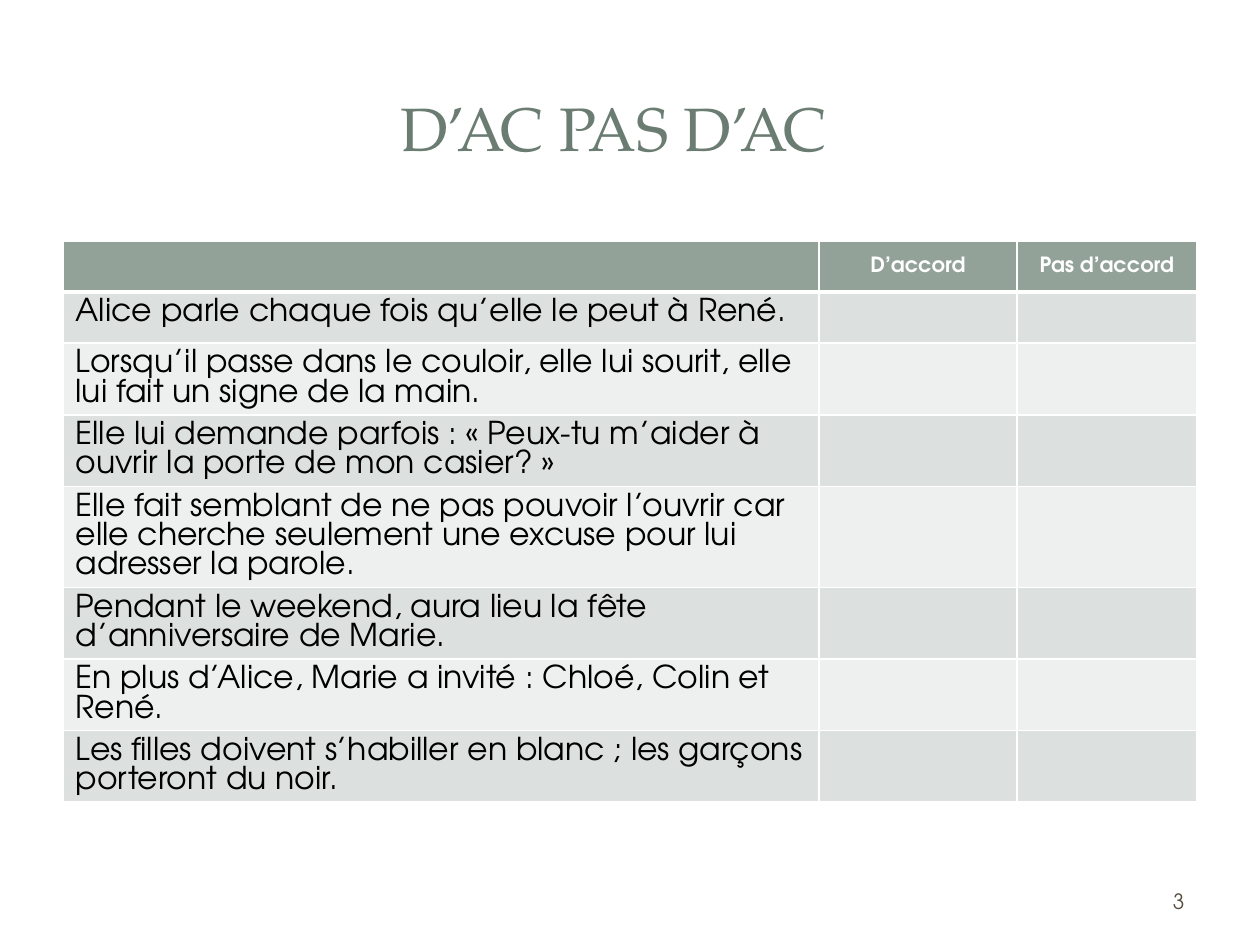
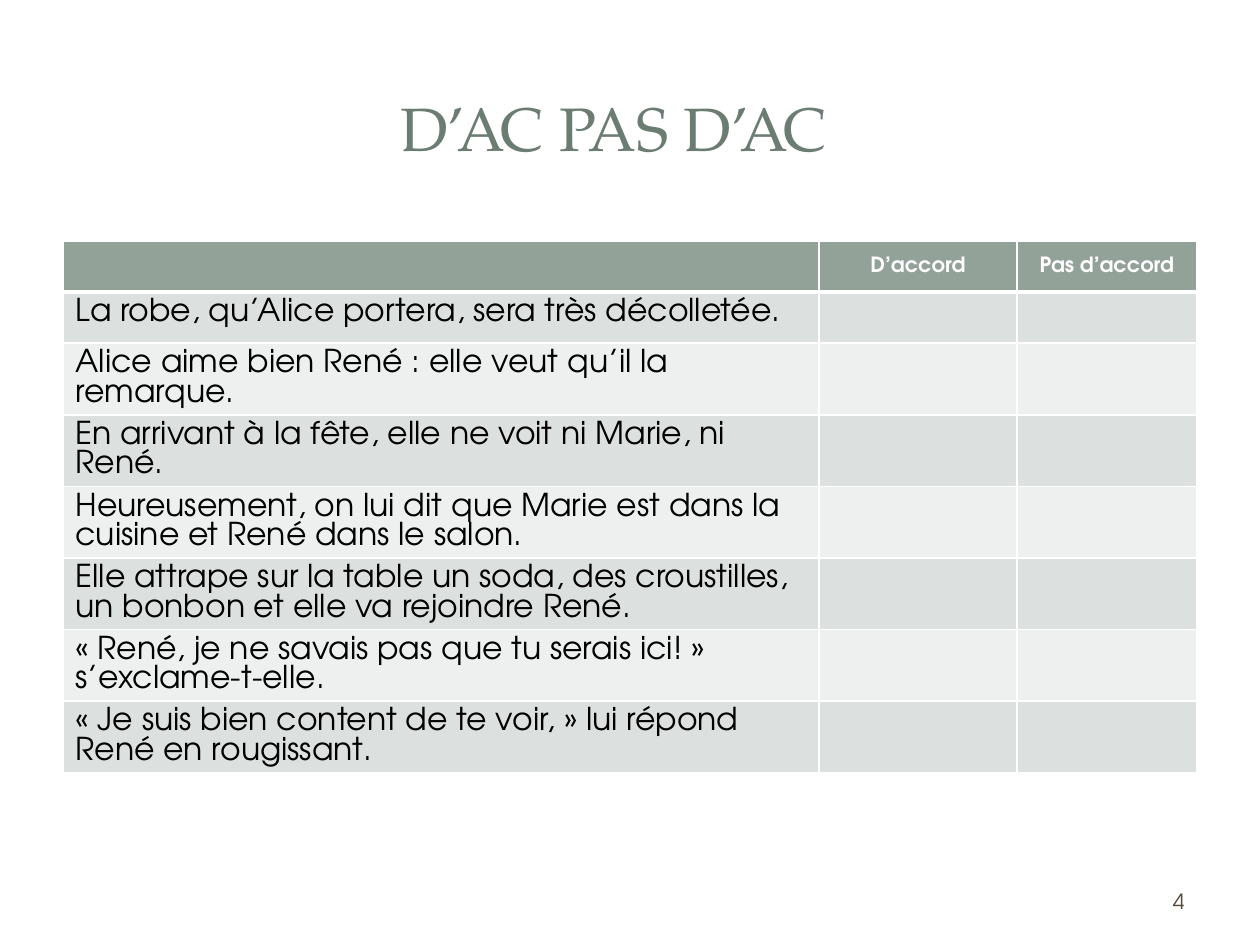
from lxml import etree
from pptx import Presentation
from pptx import util as u
from pptx.dml.color import RGBColor
from pptx.enum import shapes, text
from pptx.oxml.ns import qn

# Shared scale, fonts and colours
PX = 914400 // 126
HEAD_FONT, BODY_FONT = "TeX Gyre Pagella", "TeX Gyre Adventor"
WHITE, BLACK, GREEN, TITLE, BROWN = "FFFFFF", "000000", "93A299", "6B7D72", "564B3C"
BANDS = ["DCE0DE", "EEF0EF"]
COLUMNS = [756, 198, 180]
ROW = 51
LEFT, CENTER, RIGHT = text.PP_ALIGN.LEFT, text.PP_ALIGN.CENTER, text.PP_ALIGN.RIGHT
MIDDLE = text.MSO_ANCHOR.MIDDLE

# Shared panels behind the content: kind, left, top, width, height, opacity in percent
ROUNDED, RECT = shapes.MSO_SHAPE.ROUNDED_RECTANGLE, shapes.MSO_SHAPE.RECTANGLE
PANELS = [
    (ROUNDED, 13, 14, 1235, 918, 100),
    (RECT, 38, 38, 1184, 183, 83),
    (RECT, 52, 52, 1155, 154, 100),
]


def write(tf, words, size=18, font=BODY_FONT, color=BLACK, bold=False,
          align=LEFT, spacing=None):
    p = tf.paragraphs[0]
    p.alignment = align
    if spacing:
        p.line_spacing = u.Pt(spacing)
    r = p.add_run()
    r.text = words
    r.font.size, r.font.name, r.font.bold = u.Pt(size), font, bold
    r.font.color.rgb = RGBColor.from_string(color)


def style_cell(cell, fill, top=1, bottom=1):
    cell.fill.solid()
    cell.fill.fore_color.rgb = RGBColor.from_string(fill)
    tcPr = cell._tc.get_or_add_tcPr()
    sides = [("lnL", 1), ("lnR", 1), ("lnT", top), ("lnB", bottom)]
    for i, (side, width) in enumerate(sides):
        ln = etree.Element(qn("a:" + side), w=str(u.Pt(width)))
        solid = etree.SubElement(ln, qn("a:solidFill"))
        etree.SubElement(solid, qn("a:srgbClr"), val=WHITE)
        tcPr.insert(i, ln)


# Statements to judge, one list for each slide, by slide number
statements = {
    3: [
        "Alice parle chaque fois qu’elle le peut à René. ",
        "Lorsqu’il passe dans le couloir, elle lui sourit, elle lui fait un signe de la main. ",
        "Elle lui demande parfois\u00a0: «\u00a0Peux-tu m’aider à ouvrir la porte de mon casier?\u00a0» ",
        "Elle fait semblant de ne pas pouvoir l’ouvrir car elle cherche seulement une excuse "
        "pour lui adresser la parole. ",
        "Pendant le weekend, aura lieu la fête d’anniversaire de Marie.",
        "En plus d’Alice, Marie a invité\u00a0: Chloé, Colin et René. ",
        "Les filles doivent s’habiller en blanc ; les garçons porteront du noir. ",
    ],
    4: [
        "La robe, qu’Alice portera, sera très décolletée.",
        "Alice aime bien René\u00a0: elle veut qu’il la remarque. ",
        "En arrivant à la fête, elle ne voit ni Marie, ni René. ",
        "Heureusement, on lui dit que Marie est dans la cuisine et René dans le salon. ",
        "Elle attrape sur la table un soda, des croustilles, un bonbon et elle va rejoindre René. ",
        "«\u00a0René, je ne savais pas que tu serais ici!\u00a0» s’exclame-t-elle. ",
        "«\u00a0Je suis bien content de te voir,\u00a0» lui répond René en rougissant. ",
    ],
}

prs = Presentation()
prs.slide_width, prs.slide_height = 1260 * PX, 945 * PX

for number, lines in statements.items():
    s = prs.slides.add_slide(prs.slide_layouts[5])

    # Panels
    for kind, left, top, width, height, opacity in PANELS:
        sp = s.shapes.add_shape(kind, left * PX, top * PX, width * PX, height * PX)
        sp.shadow.inherit = False
        sp.line.fill.background()
        sp.fill.solid()
        sp.fill.fore_color.rgb = RGBColor.from_string(WHITE)
        if kind == ROUNDED:
            sp.adjustments[0] = 0.02
        if opacity < 100:
            color = sp._element.spPr.find(".//" + qn("a:srgbClr"))
            etree.SubElement(color, qn("a:alpha"), val=str(opacity * 1000))

    # Title, in front of the panels
    sp = s.shapes.title
    s.shapes._spTree.append(sp._element)
    sp.left, sp.top, sp.width, sp.height = 45 * PX, 55 * PX, 1138 * PX, 144 * PX
    sp.text_frame.vertical_anchor = MIDDLE
    write(sp.text_frame, "D’AC PAS D’AC", size=35, font=HEAD_FONT, color=TITLE, align=CENTER)

    # Table
    rows = len(lines) + 1
    table = s.shapes.add_table(rows, len(COLUMNS), 63 * PX, 241 * PX,
                               sum(COLUMNS) * PX, rows * ROW * PX).table
    for column, width in zip(table.columns, COLUMNS):
        column.width = width * PX
    for row in table.rows:
        row.height = ROW * PX

    # Header row
    for cell, label in zip(table.rows[0].cells, ["", "D’accord", "Pas d’accord"]):
        style_cell(cell, GREEN, bottom=3)
        cell.vertical_anchor = MIDDLE
        if label:
            write(cell.text_frame, label, size=12, color=WHITE, bold=True, align=CENTER)

    # Banded statement rows
    for i, line in enumerate(lines):
        cells = table.rows[i + 1].cells
        for cell in cells:
            style_cell(cell, BANDS[i % 2], top=1 if i else 3)
        write(cells[0].text_frame, line, spacing=16.85)

    # Slide number
    tf = s.shapes.add_textbox(903 * PX, 876 * PX, 294 * PX, 50 * PX).text_frame
    tf.word_wrap = True
    tf.vertical_anchor = MIDDLE
    write(tf, str(number), size=12, color=BROWN, align=RIGHT)

prs.save("out.pptx")
